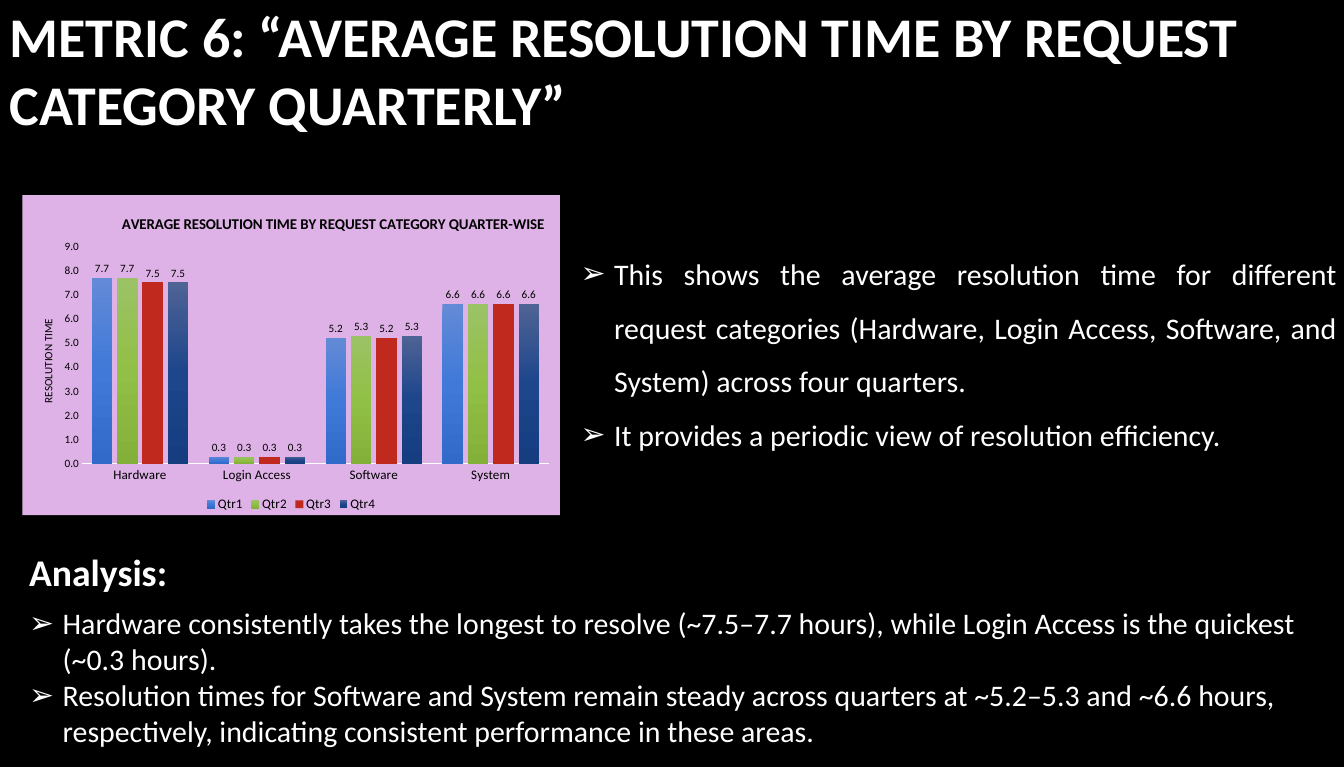
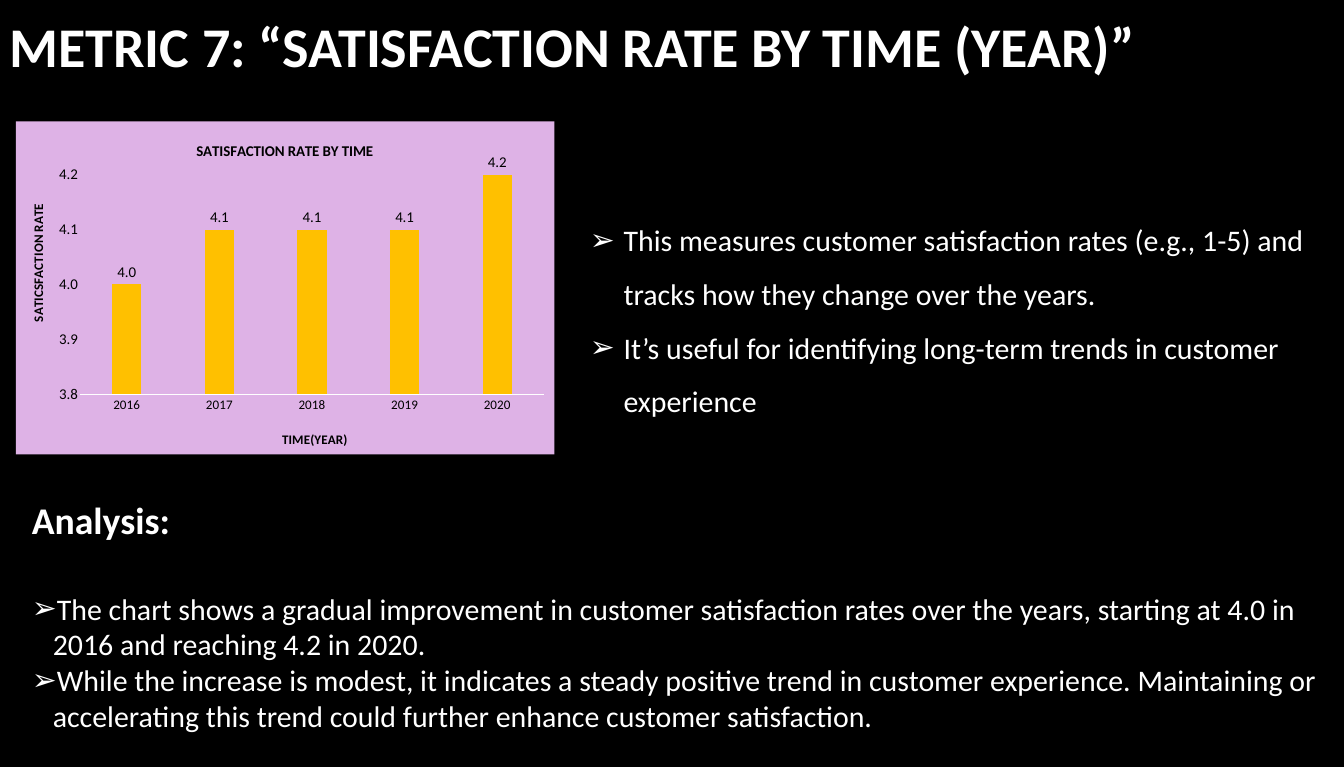
from lxml import etree
from pptx import Presentation
from pptx.chart.data import CategoryChartData
from pptx.dml.color import RGBColor
from pptx.enum.chart import XL_CHART_TYPE, XL_LABEL_POSITION, XL_LEGEND_POSITION, XL_TICK_MARK
from pptx.enum.text import MSO_ANCHOR, MSO_AUTO_SIZE, PP_ALIGN
from pptx.oxml import parse_xml
from pptx.oxml.ns import nsdecls, qn
from pptx.util import Pt

FONT = "Calibri"
COLORS = {
    "background": "000000",
    "text": "FFFFFF",
    "chart_text": "000000",
    "chart_fill": "DEB2E6",
    "axis": "FFFFFF",
    "red": "C02A1E",
    "gold": "FFC000",
}
GRADIENTS = {
    "blue": ("638AD7", "4079D8", "316AC8"),
    "green": ("9CC266", "91C046", "83B039"),
    "navy": ("4F6395", "1D468B", "153D80"),
}
DECIMAL = "0.0"


def rgb(name):
    return RGBColor.from_string(COLORS[name])


def set_attrs(obj, fmt):
    for name, value in fmt.items():
        setattr(obj, name, value)


def style_font(font, size, color="text", bold=False):
    set_attrs(font, {"name": FONT, "size": Pt(size), "bold": bold})
    font.color.rgb = rgb(color)


def place(sp, box):
    set_attrs(sp, dict(zip(("left", "top", "width", "height"), map(Pt, box))))


def add_title(slide, box, text):
    sp = slide.shapes.title
    place(sp, box)
    tf = sp.text_frame
    set_attrs(tf, {"word_wrap": True, "auto_size": MSO_AUTO_SIZE.NONE,
                   "vertical_anchor": MSO_ANCHOR.MIDDLE})
    p = tf.paragraphs[0]
    p.alignment = PP_ALIGN.LEFT
    r = p.add_run()
    r.text = text
    style_font(r.font, 60, bold=True)


def set_bullet(p, indent):
    pPr = p._p.get_or_add_pPr()
    pPr.set("marL", str(Pt(indent)))
    pPr.set("indent", str(-Pt(indent)))
    etree.SubElement(pPr, qn("a:buFont")).set("typeface", "Arial")
    etree.SubElement(pPr, qn("a:buChar")).set("char", "➢")


def add_text(slide, box, lines, size=32, bold=False, indent=0, **paragraph_fmt):
    """Add one paragraph per line, bulleted when an indent is given."""
    tf = slide.shapes.add_textbox(*map(Pt, box)).text_frame
    set_attrs(tf, {"word_wrap": True, "auto_size": MSO_AUTO_SIZE.SHAPE_TO_FIT_TEXT})
    for i, line in enumerate(lines):
        p = tf.add_paragraph() if i else tf.paragraphs[0]
        set_attrs(p, paragraph_fmt)
        if indent:
            set_bullet(p, indent)
        r = p.add_run()
        r.text = line
        style_font(r.font, size, bold=bold)


def set_layout(element, x, y, w=None, h=None):
    """Fix a chart part at fractions of the chart's size."""
    layout = element.find(qn("c:layout"))
    if layout is None:
        layout = etree.Element(qn("c:layout"))
        element.insert(0, layout)
    manual = etree.SubElement(layout, qn("c:manualLayout"))
    values = {"layoutTarget": "inner" if w else None, "xMode": "edge", "yMode": "edge",
              "x": x, "y": y, "w": w, "h": h}
    for tag, value in values.items():
        if value is not None:
            etree.SubElement(manual, qn(f"c:{tag}")).set("val", str(value))


def set_chart_title(title, text, size, bold, position):
    p = title.text_frame.paragraphs[0]
    r = p.add_run()
    r.text = text
    style_font(r.font, size, "chart_text", bold)
    set_layout(title._element, *position)


def fill_chart_area(chart):
    chart._chartSpace.find(qn("c:chart")).addnext(parse_xml(
        f'<c:spPr {nsdecls("c", "a")}><a:solidFill><a:srgbClr val="{COLORS["chart_fill"]}"/>'
        "</a:solidFill><a:ln><a:noFill/></a:ln></c:spPr>"))


def fill_series(series, color):
    fill = series.format.fill
    if color in COLORS:
        fill.solid()
        fill.fore_color.rgb = rgb(color)
        return
    fill.gradient()
    grad = series.format._element.spPr.find(qn("a:gradFill")) if hasattr(
        series.format._element, "spPr") else series._element.find(f'.//{qn("a:gradFill")}')
    stops = "".join(f'<a:gs pos="{i * 50000}"><a:srgbClr val="{c}"/></a:gs>'
                    for i, c in enumerate(GRADIENTS[color]))
    grad.getparent().replace(grad, parse_xml(
        f'<a:gradFill {nsdecls("a")} rotWithShape="1"><a:gsLst>{stops}</a:gsLst>'
        '<a:lin ang="5400000" scaled="0"/></a:gradFill>'))


def style_axis(axis, size, title=None):
    set_attrs(axis, {"has_major_gridlines": False, "major_tick_mark": XL_TICK_MARK.NONE,
                     "minor_tick_mark": XL_TICK_MARK.NONE})
    style_font(axis.tick_labels.font, size, "chart_text")
    if title:
        set_chart_title(axis.axis_title, **title)


def add_column_chart(slide, box, cats, series, title, value_axis, category_axis,
                     plot_box, plot_fmt, label_size, scale=None, legend=False):
    data = CategoryChartData(number_format=DECIMAL)
    data.categories = cats
    for name, values, _ in series:
        data.add_series(name, values)
    chart = slide.shapes.add_chart(XL_CHART_TYPE.COLUMN_CLUSTERED, *map(Pt, box), data).chart
    style_font(chart.font, 10)
    fill_chart_area(chart)
    set_chart_title(chart.chart_title, **title)

    style_axis(chart.value_axis, **value_axis)
    set_attrs(chart.value_axis, scale or {})
    set_attrs(chart.value_axis.tick_labels,
              {"number_format": DECIMAL, "number_format_is_linked": False})
    chart.value_axis.format.line.fill.background()
    style_axis(chart.category_axis, **category_axis)
    line = chart.category_axis.format.line
    line.color.rgb = rgb("axis")
    line.width = Pt(1)

    plot = chart.plots[0]
    set_attrs(plot, {"vary_by_categories": False, "has_data_labels": True, **plot_fmt})
    set_attrs(plot.data_labels, {"show_value": True, "number_format": DECIMAL,
                                 "number_format_is_linked": False,
                                 "position": XL_LABEL_POSITION.OUTSIDE_END})
    style_font(plot.data_labels.font, label_size, "chart_text")
    for s, (_, _, color) in zip(plot.series, series):
        fill_series(s, color)
    set_layout(chart._chartSpace.find(f'.//{qn("c:plotArea")}'), *plot_box)

    chart.has_legend = legend
    if legend:
        set_attrs(chart.legend, {"position": XL_LEGEND_POSITION.BOTTOM,
                                 "include_in_layout": False})
        style_font(chart.legend.font, 14, "chart_text")


def add_analysis(slide, left, heading_top, body_top, lines, indent):
    add_text(slide, (left, heading_top, 173, 57), ["Analysis:"], size=40.4, bold=True)
    add_text(slide, (left, body_top, 1440 - left, 163), lines, indent=indent)


def add_metric_slide(prs, title, title_top, chart, notes, analysis):
    slide = prs.slides.add_slide(prs.slide_layouts[5])
    add_title(slide, (3, title_top, 1440, 166), title)
    add_column_chart(slide, **chart)
    add_text(slide, indent=36, line_spacing=1.5, **notes)
    add_analysis(slide, **analysis)


def heading(text, size, bold, *position):
    return {"text": text, "size": size, "bold": bold, "position": position}


RESOLUTION = {
    "title": "METRIC 6: “AVERAGE RESOLUTION TIME BY REQUEST CATEGORY QUARTERLY”",
    "title_top": -9,
    "chart": {
        "box": (24, 209, 576, 343),
        "cats": ("Hardware", "Login Access", "Software", "System"),
        "series": (
            ("Qtr1", (7.7, 0.3, 5.2, 6.6), "blue"),
            ("Qtr2", (7.7, 0.3, 5.3, 6.6), "green"),
            ("Qtr3", (7.5, 0.3, 5.2, 6.6), "red"),
            ("Qtr4", (7.5, 0.3, 5.3, 6.6), "navy"),
        ),
        "title": heading("AVERAGE RESOLUTION TIME BY REQUEST CATEGORY QUARTER-WISE",
                         16, True, 0.18, 0.05),
        "value_axis": {"size": 12, "title": heading("RESOLUTION TIME", 12, False, 0.03, 0.38)},
        "category_axis": {"size": 14},
        "plot_box": (0.11, 0.16, 0.87, 0.68),
        "plot_fmt": {"gap_width": 100, "overlap": -24},
        "label_size": 12,
        "scale": {"minimum_scale": 0, "maximum_scale": 9, "major_unit": 1},
        "legend": True,
    },
    "notes": {
        "box": (615, 251, 825, 272),
        "alignment": PP_ALIGN.JUSTIFY,
        "lines": (
            "This shows the average resolution time for different request categories "
            "(Hardware, Login Access, Software, and System) across four quarters.",
            "It provides a periodic view of resolution efficiency.",
        ),
    },
    "analysis": {
        "left": 24, "heading_top": 585, "body_top": 645, "indent": 36,
        "lines": (
            "Hardware consistently takes the longest to resolve (~7.5–7.7 hours), "
            "while Login Access is the quickest (~0.3 hours).",
            "Resolution times for Software and System remain steady across quarters at "
            "~5.2–5.3 and ~6.6 hours, respectively, indicating consistent performance "
            "in these areas.",
        ),
    },
}

SATISFACTION = {
    "title": "METRIC 7: “SATISFACTION RATE BY TIME (YEAR)”",
    "title_top": -35,
    "chart": {
        "box": (17, 130, 577, 357),
        "cats": ("2016", "2017", "2018", "2019", "2020"),
        "series": (("Series 1", (4.0, 4.1, 4.1, 4.1, 4.2), "gold"),),
        "title": heading("SATISFACTION RATE BY TIME", 16, True, 0.33, 0.05),
        "value_axis": {"size": 16,
                       "title": heading("SATICSFACTION RATE", 14, True, 0.02, 0.24)},
        "category_axis": {"size": 14, "title": heading("TIME(YEAR)", 14, True, 0.49, 0.92)},
        "plot_box": (0.12, 0.16, 0.86, 0.66),
        "plot_fmt": {"gap_width": 219, "overlap": -27},
        "label_size": 16,
        "scale": {"minimum_scale": 3.8, "maximum_scale": 4.2, "major_unit": 0.1},
    },
    "notes": {
        "box": (625, 215, 815, 234),
        "lines": (
            "This measures customer satisfaction rates (e.g., 1-5) and tracks how they "
            "change over the years.",
            "It’s useful for identifying long-term trends in customer experience",
        ),
    },
    "analysis": {
        "left": 27, "heading_top": 529, "body_top": 629, "indent": 22.5,
        "lines": (
            "The chart shows a gradual improvement in customer satisfaction rates over "
            "the years, starting at 4.0 in 2016 and reaching 4.2 in 2020.",
            "While the increase is modest, it indicates a steady positive trend in "
            "customer experience. Maintaining or accelerating this trend could further "
            "enhance customer satisfaction.",
        ),
    },
}


def main():
    prs = Presentation()
    set_attrs(prs, {"slide_width": Pt(1440), "slide_height": Pt(822)})
    fill = prs.slide_master.background.fill
    fill.solid()
    fill.fore_color.rgb = rgb("background")
    for metric in (RESOLUTION, SATISFACTION):
        add_metric_slide(prs, **metric)
    prs.save("out.pptx")


if __name__ == "__main__":
    main()
